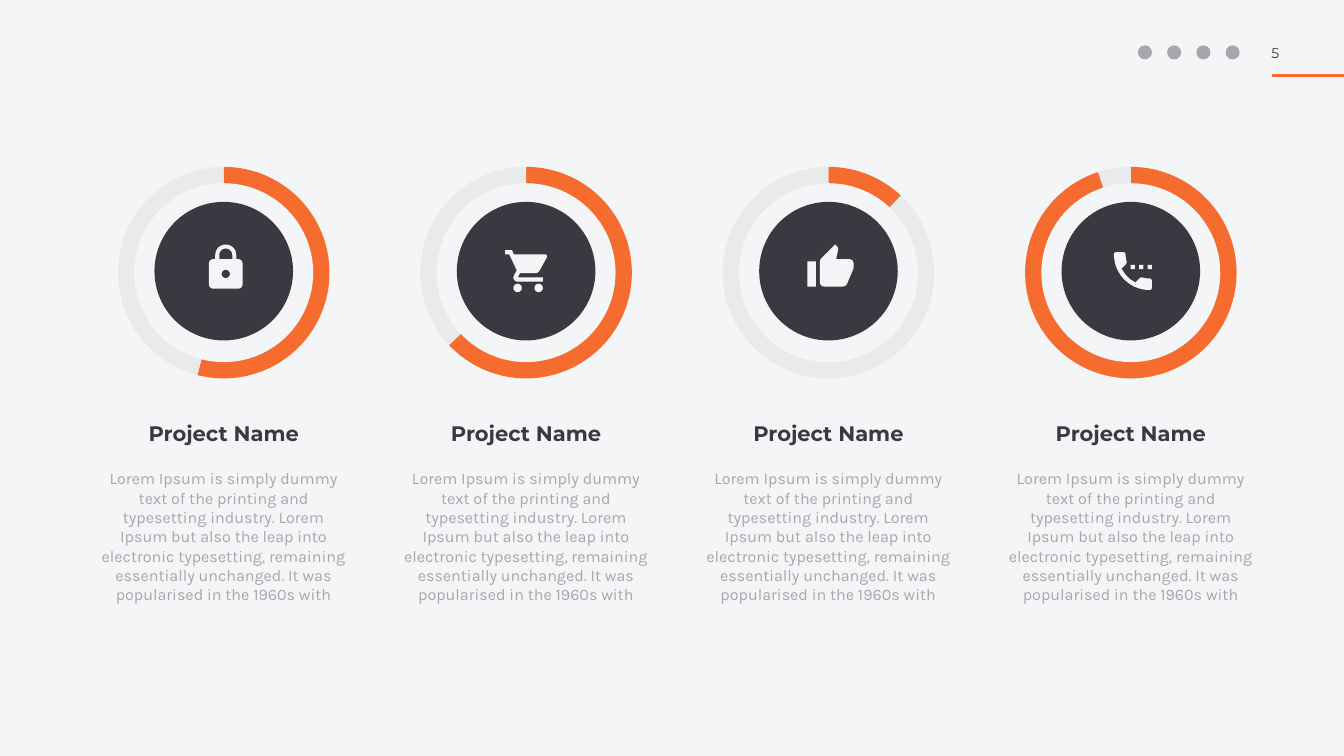
from math import cos, sin, radians

from pptx import Presentation
from pptx.chart.data import CategoryChartData
from pptx.dml.color import RGBColor
from pptx.enum.chart import XL_CHART_TYPE
from pptx.enum.shapes import MSO_CONNECTOR, MSO_SHAPE
from pptx.enum.text import MSO_ANCHOR, PP_ALIGN
from pptx.oxml import parse_xml
from pptx.oxml.ns import nsdecls, qn
from pptx.util import Inches, Pt

WIDE, HIGH = 26.67, 15
PALE = RGBColor(0xF4, 0xF5, 0xF7)
DARK = RGBColor(0x39, 0x39, 0x41)
GREY = RGBColor(0xA6, 0xA7, 0xAC)
TRACK = RGBColor(0xE9, 0xEA, 0xEC)
ORANGE = RGBColor(0xF5, 0x6C, 0x2E)
HEAD, BODY = "Montserrat", "Karla"

NAME = "Project Name"
BLURB = ("Lorem Ipsum is simply dummy text of the printing and typesetting "
         "industry. Lorem Ipsum but also the leap into electronic typesetting, "
         "remaining essentially unchanged. It was popularised in the 1960s with")

# The pie fills its frame.
LAYOUT = (f'<c:layout {nsdecls("c")}><c:manualLayout>'
          '<c:layoutTarget val="inner"/><c:xMode val="edge"/><c:yMode val="edge"/>'
          '<c:x val="0.005"/><c:y val="0.005"/><c:w val="0.99"/><c:h val="0.99"/>'
          '</c:manualLayout></c:layout>')

# Sizes in a column, as shares of its width.
RING, HOLE, DISC, ICON = 0.848, 0.71, 0.55, 0.2
RING_MID, DISC_MID = 0.424, 0.418
NAME_TOP, NAME_HIGH = 1.01, 0.12
BLURB_TOP, BLURB_HIGH = 1.194, 0.566

GRID = 24   # squares along the side of an icon
FINE = 100  # drawing steps in one square


def arc(x, y, r, start, end, steps=16):
    """Points along a circle, in degrees clockwise from the right."""
    turns = [radians(start + (end - start) * i / steps) for i in range(steps + 1)]
    return [(x + r * cos(t), y + r * sin(t)) for t in turns]


def rect(x, y, w, h):
    return [(x, y), (x + w, y), (x + w, y + h), (x, y + h)]


# Each icon is a list of outlines; one that runs backwards is a hole.
LOCK = [
    [(7, 8), *arc(12, 6, 5, 180, 360), (17, 8), *arc(18, 10, 2, 270, 360),
     *arc(18, 20, 2, 0, 90), *arc(6, 20, 2, 90, 180), *arc(6, 10, 2, 180, 270)],
    [*arc(12, 6, 3.1, 360, 180), (8.9, 8), (15.1, 8)],
    arc(12, 15, 2, 360, 0),
]
CART = [
    *[arc(x, 20, 2, 0, 360) for x in (7, 17)],
    [(1, 2), (1, 4), (3, 4), (6.6, 11.6), (5.25, 14.05), *arc(7, 15, 2, 180, 90),
     (19, 17), (19, 15), (7.4, 15), (7.2, 14.75), (8.1, 13), (15.55, 13),
     (16.6, 12.7), (17.3, 12), (20.9, 5.5), *arc(20, 5, 1, 0, -90),
     (5.2, 4), (4.3, 2)],
]
THUMB = [
    rect(1, 9, 4, 12),
    [*arc(21, 10, 2, 0, -90), (14.7, 8), (15.65, 3.4), (15.6, 2.6), (15.2, 2),
     (14.2, 1), (7.6, 7.6), (7.2, 8.2), (7, 9), *arc(9, 19, 2, 180, 90),
     (18, 21), (19.1, 20.7), (19.85, 19.8), (22.85, 12.75), (23, 12)],
]
PHONE = [
    *[rect(x, 9, 2, 2) for x in (11, 15, 19)],
    [*arc(20, 16.5, 1, -90, 0), *arc(20, 20, 1, 0, 90), *arc(20, 4, 17, 90, 180),
     *arc(4, 4, 1, 180, 270), *arc(7.5, 4, 1, 270, 360), (8.7, 5.9), (9.1, 7.6),
     (8.8, 8.6), (6.6, 10.8), (8.3, 13.4), (10.5, 15.7), (13.2, 17.4),
     (15.4, 15.2), (16.4, 14.95), (18.2, 15.4)],
]

# Percent done, icon, and how far the icon is lifted, in inches.
ITEMS = [(54, LOCK, 0.07), (63, CART, 0), (12, THUMB, 0.07), (95, PHONE, 0)]


def paint(part, color):
    """Fill a shape or a chart point and hide its line."""
    part.fill.solid()
    part.fill.fore_color.rgb = color
    part.line.fill.background()


def square(x, y, size):
    """Left, top, width and height of a square around its middle."""
    return [Inches(n) for n in (x - size / 2, y - size / 2, size, size)]


def dot(slide, x, y, size, color):
    disc = slide.shapes.add_shape(MSO_SHAPE.OVAL, *square(x, y, size))
    disc.shadow.inherit = False
    paint(disc, color)


def write(slide, box, text, font, size, color):
    """Add a text box and return its frame and its paragraph."""
    frame = slide.shapes.add_textbox(*map(Inches, box)).text_frame
    frame.word_wrap = True
    frame.margin_left = frame.margin_right = Inches(0.04)
    frame.margin_top = frame.margin_bottom = Inches(0.04)
    frame.text = text
    line = frame.paragraphs[0]
    line.alignment = PP_ALIGN.CENTER
    face = line.runs[0].font
    face.name, face.size, face.color.rgb = font, Pt(size), color
    return frame, line


def ring(slide, x, y, size, done):
    """Draw the pie that shows as a ring once its middle is covered."""
    data = CategoryChartData()
    data.categories = ["1", "2"]
    data.add_series("Series 1", (done, 100 - done))
    chart = slide.shapes.add_chart(XL_CHART_TYPE.PIE, *square(x, y, size), data).chart
    chart.has_legend = chart.has_title = False
    chart.font.name, chart.font.size = HEAD, Pt(10)
    chart.font.color.rgb = GREY
    for i, color in enumerate((ORANGE, TRACK)):
        paint(chart.plots[0].series[0].points[i].format, color)
    area = chart._chartSpace.find(".//" + qn("c:plotArea"))
    for old in area.findall(qn("c:layout")):
        area.remove(old)
    area.insert(0, parse_xml(LAYOUT))


def draw(slide, icon, x, y, size):
    """Draw the outlines of an icon in a square around its middle."""
    left, top, side, _ = square(x, y, size)
    pen = slide.shapes.build_freeform(scale=side / (GRID * FINE))
    for path in icon:
        first, *rest = [(px * FINE, py * FINE) for px, py in path]
        pen.move_to(*first)
        pen.add_line_segments(rest)
    shape = pen.convert_to_shape(left, top)
    shape.shadow.inherit = False
    paint(shape, PALE)


def column(slide, left, top, wide, item):
    """Draw a ring with its icon, and the name and blurb below."""
    done, icon, lift = item
    mid = left + wide / 2
    ring_y, disc_y = top + wide * RING_MID, top + wide * DISC_MID
    ring(slide, mid, ring_y, wide * RING, done)
    dot(slide, mid, ring_y, wide * HOLE, PALE)
    dot(slide, mid, disc_y, wide * DISC, DARK)
    draw(slide, icon, mid + 0.04, disc_y - lift, wide * ICON)

    box = left, top + wide * NAME_TOP, wide, wide * NAME_HIGH
    frame, line = write(slide, box, NAME, HEAD, 30, DARK)
    frame.vertical_anchor = MSO_ANCHOR.MIDDLE
    line.line_spacing = 0.8
    line.runs[0].font.bold = True

    box = left, top + wide * BLURB_TOP, wide, wide * BLURB_HIGH
    write(slide, box, BLURB, BODY, 23, GREY)


def header(slide, left, mid):
    """Draw the row of dots, the page number and its rule."""
    count, step = 4, 0.58
    for i in range(count):
        dot(slide, left + i * step, mid, 0.28, GREY)

    edge = left + 2.52
    box = edge - 0.05, mid - 0.19, 0.66, 0.42
    _, line = write(slide, box, "5", HEAD, 20, DARK)
    line.alignment = PP_ALIGN.LEFT

    y = Inches(HIGH / 10)
    rule = slide.shapes.add_connector(
        MSO_CONNECTOR.STRAIGHT, Inches(edge), y, Inches(WIDE), y)
    rule.line.color.rgb = ORANGE
    rule.line.width = Pt(4)
    rule._element.spPr.append(parse_xml(f'<a:effectLst {nsdecls("a")}/>'))


def main():
    deck = Presentation()
    deck.slide_width, deck.slide_height = Inches(WIDE), Inches(HIGH)
    slide = deck.slides.add_slide(deck.slide_layouts[6])
    slide.background.fill.solid()
    slide.background.fill.fore_color.rgb = PALE
    header(slide, 22.72, 1.04)
    left, top, wide, gap = 1.94, 3.29, 5, 1
    for i, item in enumerate(ITEMS):
        column(slide, left + i * (wide + gap), top, wide, item)
    deck.save("out.pptx")


if __name__ == "__main__":
    main()
